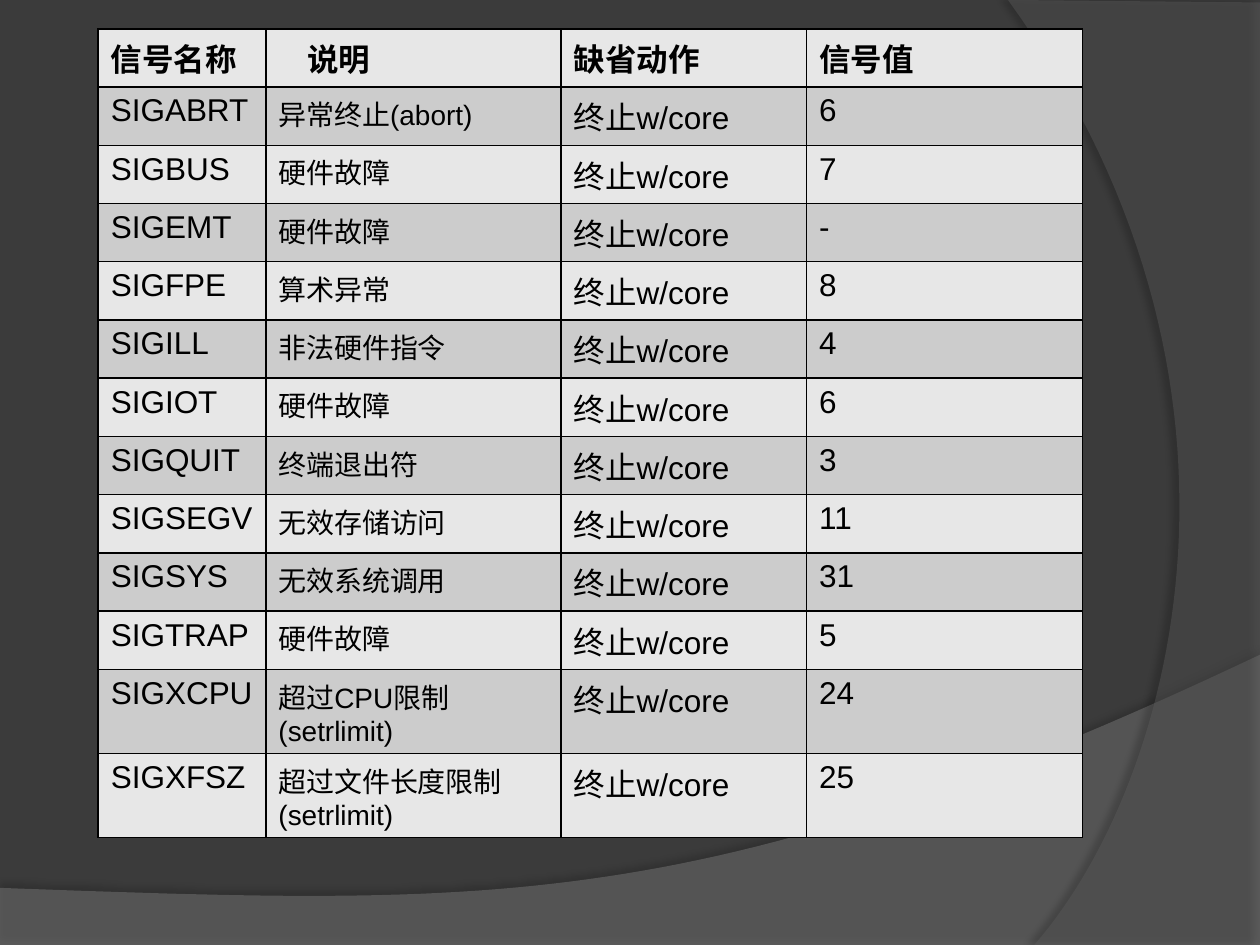
from dataclasses import dataclass

from lxml import etree
from pptx import Presentation
from pptx.dml.color import RGBColor
from pptx.oxml.ns import qn
from pptx.util import Cm, Pt


@dataclass(frozen=True)
class Theme:
    """Colours, font and type sizes of the slide."""

    background: str = "3B3B3B"
    sweep: str = "7F7F7F"
    arc: str = "5E5E5E"
    light_row: str = "E7E7E7"
    dark_row: str = "CCCCCC"
    ink: str = "000000"
    font: str = "Arial"
    text_size: int = 18
    description_size: int = 16


THEME = Theme()
SLIDE_WIDTH, SLIDE_HEIGHT = 25.4, 19.05
COLUMN_WIDTHS = (3.38, 5.95, 4.95, 5.56)
ROW_HEIGHT = 1.1
DESCRIPTION_COLUMN = 1
HEADING_MARGIN = 0.83
CURVE_STEPS = 60

HEADINGS = ("信号名称", "说明", "缺省动作", "信号值")
ACTION = "终止w/core"
SIGNALS = (
    ("SIGABRT", "异常终止(abort)", "6"),
    ("SIGBUS", "硬件故障", "7"),
    ("SIGEMT", "硬件故障", "-"),
    ("SIGFPE", "算术异常", "8"),
    ("SIGILL", "非法硬件指令", "4"),
    ("SIGIOT", "硬件故障", "6"),
    ("SIGQUIT", "终端退出符", "3"),
    ("SIGSEGV", "无效存储访问", "11"),
    ("SIGSYS", "无效系统调用", "31"),
    ("SIGTRAP", "硬件故障", "5"),
    ("SIGXCPU", "超过CPU限制\n(setrlimit)", "24"),
    ("SIGXFSZ", "超过文件长度限制\n(setrlimit)", "25"),
)


def add_xml(parent, tag, **attributes):
    """Append a drawing element to its parent and return it."""
    values = {name: str(value) for name, value in attributes.items()}
    return etree.SubElement(parent, qn(tag), values)


def bezier(start, control_1, control_2, end):
    """Return points along a cubic curve, without its start."""
    points = []
    for step in range(1, CURVE_STEPS + 1):
        t = step / CURVE_STEPS
        weights = ((1 - t) ** 3, 3 * t * (1 - t) ** 2, 3 * t**2 * (1 - t), t**3)
        anchors = (start, control_1, control_2, end)
        points.append(tuple(
            sum(weight * anchor[axis] for weight, anchor in zip(weights, anchors))
            for axis in (0, 1)
        ))
    return points


def add_backdrop(slide, left, top, points, color, alpha, shadow):
    """Draw a translucent, shadowed outline from points in cm inside its box."""
    corners = [(Cm(left + x), Cm(top + y)) for x, y in points]
    builder = slide.shapes.build_freeform(*corners[0], scale=1.0)
    builder.add_line_segments(corners[1:], close=True)
    shape = builder.convert_to_shape()
    shape.line.fill.background()
    shape.fill.solid()
    shape.fill.fore_color.rgb = RGBColor.from_string(color)
    properties = shape.element.spPr
    fill_color = properties.find(qn("a:solidFill")).find(qn("a:srgbClr"))
    add_xml(fill_color, "a:alpha", val=alpha * 1000)

    shape.shadow.inherit = False
    shadow_alpha, blur, distance, direction = shadow
    outer = add_xml(
        properties.find(qn("a:effectLst")), "a:outerShdw", blurRad=Pt(blur),
        dist=Pt(distance), dir=direction * 60000, algn="ctr", rotWithShape=0,
    )
    shadow_color = add_xml(outer, "a:srgbClr", val=THEME.ink)
    add_xml(shadow_color, "a:alpha", val=shadow_alpha * 1000)


def add_sweep(slide, left, top, width, height):
    """Draw the band that rises across the foot of the slide."""
    edge = (0, 4.7)
    corner = (width, 0)
    points = [edge, (0, height), (width, height), corner]
    points += bezier(corner, (14.2, 5.31), (9.93, 5.05), edge)
    add_backdrop(slide, left, top, points, THEME.sweep, 45, (35, 4, 3.5, 270))


def add_arc(slide, left, top, width, height):
    """Draw the panel with a curved edge at the right of the slide."""
    foot = (0.53, height)
    points = [(width, 0.05), (width, height), foot]
    points += bezier(foot, (3.43, 15.72), (5.54, 7.62), (0, 0))
    add_backdrop(slide, left, top, points, THEME.arc, 40, (45, 4, 4, 180))


def add_borders(cell):
    """Outline a cell with thin lines on all four sides."""
    properties = cell._tc.get_or_add_tcPr()
    for index, side in enumerate(("a:lnL", "a:lnR", "a:lnT", "a:lnB")):
        line = add_xml(properties, side, w=Pt(1))
        add_xml(add_xml(line, "a:solidFill"), "a:srgbClr", val=THEME.ink)
        properties.insert(index, line)


def fill_cell(cell, text, size, bold, color):
    """Write and format one table cell."""
    cell.text = text
    cell.fill.solid()
    cell.fill.fore_color.rgb = RGBColor.from_string(color)
    add_borders(cell)
    for paragraph in cell.text_frame.paragraphs:
        paragraph.font.name = THEME.font
        paragraph.font.size = Pt(size)
        paragraph.font.bold = bold
        paragraph.font.color.rgb = RGBColor.from_string(THEME.ink)


def add_signal_table(slide, left, top):
    """Place the table of signals with alternating row shades."""
    rows = [HEADINGS]
    rows += [(name, text, ACTION, value) for name, text, value in SIGNALS]
    table = slide.shapes.add_table(
        len(rows), len(HEADINGS), Cm(left), Cm(top),
        Cm(sum(COLUMN_WIDTHS)), Cm(ROW_HEIGHT * len(rows)),
    ).table
    table.first_row = False
    table.horz_banding = False
    for column, width in zip(table.columns, COLUMN_WIDTHS):
        column.width = Cm(width)
    for row_index, row in enumerate(rows):
        heading = row_index == 0
        color = THEME.dark_row if row_index % 2 else THEME.light_row
        table.rows[row_index].height = Cm(ROW_HEIGHT)
        for column_index, text in enumerate(row):
            description = column_index == DESCRIPTION_COLUMN and not heading
            size = THEME.description_size if description else THEME.text_size
            fill_cell(table.cell(row_index, column_index), text, size, heading, color)
    table.cell(0, DESCRIPTION_COLUMN).margin_left = Cm(HEADING_MARGIN)


def main():
    """Build and save the slide."""
    presentation = Presentation()
    presentation.slide_width = Cm(SLIDE_WIDTH)
    presentation.slide_height = Cm(SLIDE_HEIGHT)
    slide = presentation.slides.add_slide(presentation.slide_layouts[6])
    slide.background.fill.solid()
    slide.background.fill.fore_color.rgb = RGBColor.from_string(THEME.background)
    add_sweep(slide, 0, 13.2, SLIDE_WIDTH, 5.87)
    add_arc(slide, 20.32, 0, 5.08, SLIDE_HEIGHT)
    add_signal_table(slide, 1.98, 0.58)
    presentation.save("out.pptx")


if __name__ == "__main__":
    main()
